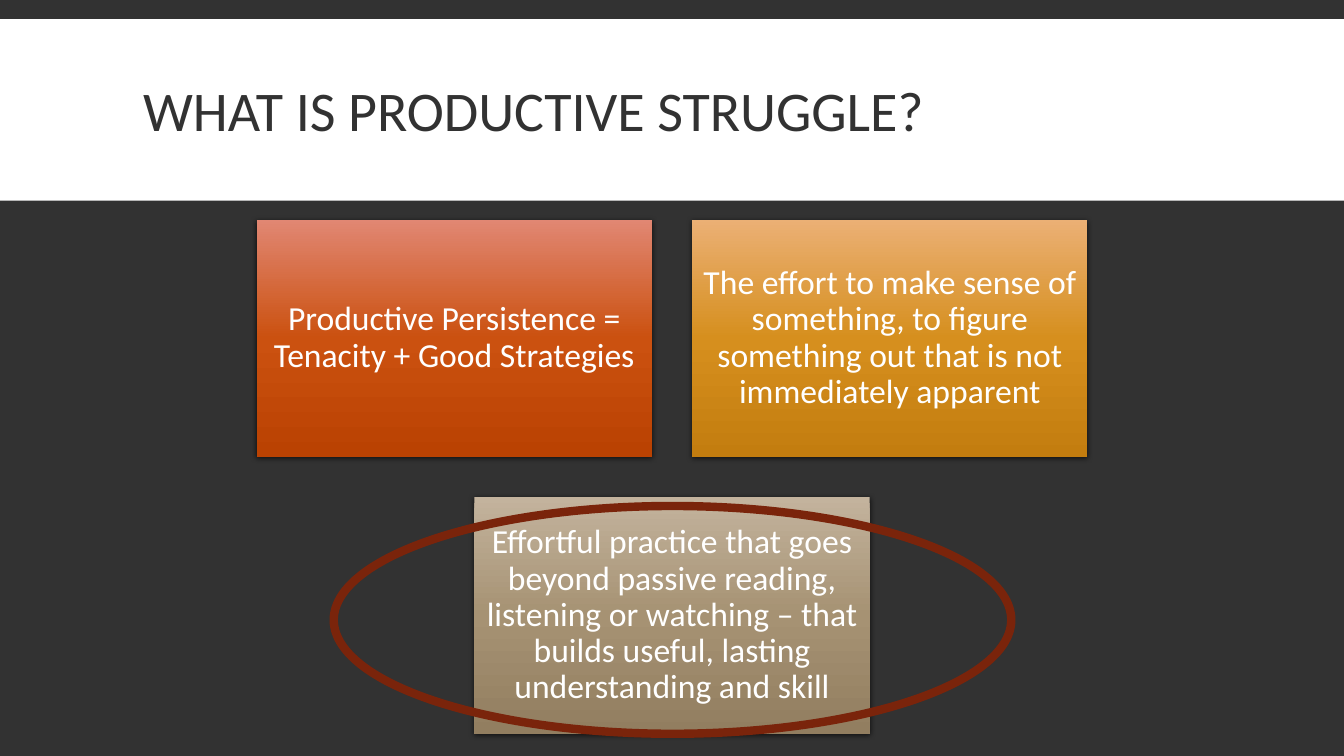
from copy import deepcopy
from dataclasses import dataclass

from lxml import etree
from pptx import Presentation
from pptx.dml.color import RGBColor
from pptx.enum.shapes import MSO_SHAPE
from pptx.enum.text import MSO_ANCHOR, PP_ALIGN
from pptx.oxml.ns import qn
from pptx.util import Inches, Pt

RECTANGLE, OVAL = MSO_SHAPE.RECTANGLE, MSO_SHAPE.OVAL
MIDDLE = MSO_ANCHOR.MIDDLE
LEFT, CENTER = PP_ALIGN.LEFT, PP_ALIGN.CENTER

TITLE = "WHAT IS PRODUCTIVE STRUGGLE?"
DEFINITION_ROWS = [
    [
        ("Productive Persistence = Tenacity + Good Strategies",
         ("E18773", "CB5110", "BA4202")),
        ("The effort to make sense of something, to figure something out "
         "that is not immediately apparent",
         ("EBB075", "D68F1E", "C37D0F")),
    ],
    [
        ("Effortful practice that goes beyond passive reading, listening or "
         "watching – that builds useful, lasting understanding and skill",
         ("C3B39D", "A69273", "927E60")),
    ],
]


@dataclass(frozen=True)
class Theme:
    font: str = "Calibri"
    dark: str = "323232"
    light: str = "FFFFFF"
    highlight: str = "7A240B"
    shadow: str = "000000"
    title_size: int = 40
    body_size: int = 24
    highlight_width: int = 6


THEME = Theme()
SLIDE_W, SLIDE_H = 13.33, 7.5
BAND = (0, 0.19, SLIDE_W, 1.8)
TITLE_BOX = (1.32, 0.31, 10.7, 1.65)
HIGHLIGHT_RING = (3.31, 5.02, 6.72, 2.26)
CARD_W, CARD_H, CARD_GAP, CARDS_TOP = 3.92, 2.35, 0.4, 2.18


def set_all(target, values):
    for name, value in values.items():
        setattr(target, name, value)


def add_plain_shape(slide, kind, box):
    shape = slide.shapes.add_shape(kind, *map(Inches, box))
    shape.shadow.inherit = False
    shape.line.fill.background()
    return shape


def write(shape, text, size, color, align, spacing, inset):
    frame = shape.text_frame
    frame.text = text
    margins = dict.fromkeys(
        ("margin_left", "margin_right", "margin_top", "margin_bottom"), Inches(inset))
    set_all(frame, {"word_wrap": True, "vertical_anchor": MIDDLE, **margins})
    paragraph = frame.paragraphs[0]
    set_all(paragraph, {"alignment": align, "line_spacing": spacing})
    font = paragraph.runs[0].font
    set_all(font, {"name": THEME.font, "size": Pt(size)})
    font.color.rgb = RGBColor.from_string(color)


def fill_gradient(shape, colors):
    shape.fill.gradient()
    shape.fill.gradient_angle = 270
    stop_list = shape._element.spPr.find(".//" + qn("a:gsLst"))
    stop_list.append(deepcopy(stop_list[0]))
    for index, (stop, color) in enumerate(zip(shape.fill.gradient_stops, colors)):
        stop.color.rgb = RGBColor.from_string(color)
        stop.position = index / (len(colors) - 1)


def add_drop_shadow(shape):
    effects = shape._element.spPr.find(qn("a:effectLst"))
    outer = etree.SubElement(
        effects, qn("a:outerShdw"), blurRad=str(Pt(4)), dist=str(Pt(1.2)),
        dir="5400000", algn="ctr", rotWithShape="0")
    color = etree.SubElement(outer, qn("a:srgbClr"), val=THEME.shadow)
    etree.SubElement(color, qn("a:alpha"), val="68000")


deck = Presentation()
set_all(deck, {"slide_width": Inches(SLIDE_W), "slide_height": Inches(SLIDE_H)})
slide = deck.slides.add_slide(deck.slide_layouts[5])
slide.background.fill.solid()
slide.background.fill.fore_color.rgb = RGBColor.from_string(THEME.dark)

title = slide.shapes.title
set_all(title, dict(zip(("left", "top", "width", "height"), map(Inches, TITLE_BOX))))
write(title, TITLE, THEME.title_size, THEME.dark, LEFT, 0.85, 0.1)

band = add_plain_shape(slide, RECTANGLE, BAND)
band.fill.solid()
band.fill.fore_color.rgb = RGBColor.from_string(THEME.light)
title._element.addprevious(band._element)

for row, definitions in enumerate(DEFINITION_ROWS):
    row_width = len(definitions) * (CARD_W + CARD_GAP) - CARD_GAP
    row_left = (SLIDE_W - row_width) / 2
    top = CARDS_TOP + row * (CARD_H + CARD_GAP)
    for column, (definition, colors) in enumerate(definitions):
        left = row_left + column * (CARD_W + CARD_GAP)
        card = add_plain_shape(slide, RECTANGLE, (left, top, CARD_W, CARD_H))
        fill_gradient(card, colors)
        add_drop_shadow(card)
        write(card, definition, THEME.body_size, THEME.light, CENTER, 0.9, 0.1)

ring = add_plain_shape(slide, OVAL, HIGHLIGHT_RING)
ring.fill.background()
ring.line.color.rgb = RGBColor.from_string(THEME.highlight)
ring.line.width = Pt(THEME.highlight_width)

deck.save("out.pptx")
